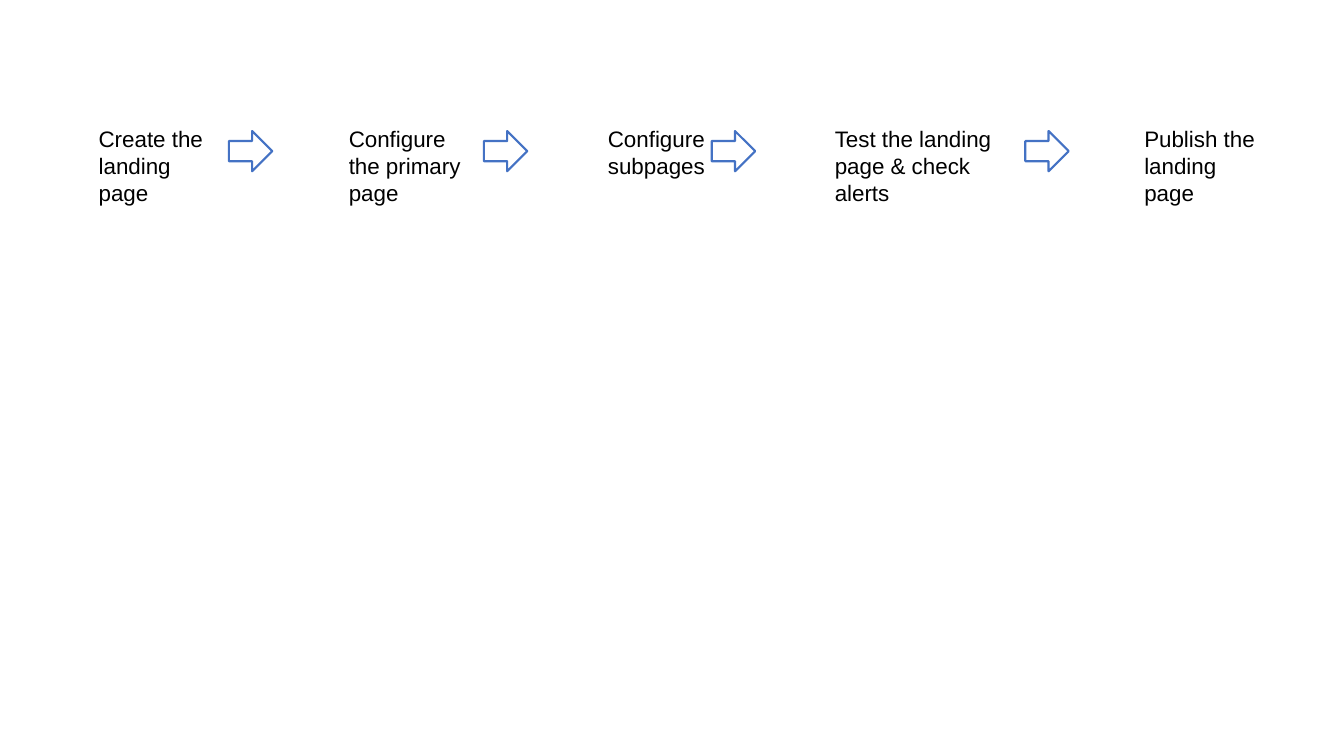
"""Build a slide that shows the steps for publishing a landing page."""
from dataclasses import dataclass
from typing import Optional

from pptx import Presentation
from pptx.dml.color import RGBColor
from pptx.enum.shapes import MSO_SHAPE
from pptx.enum.text import MSO_ANCHOR, MSO_AUTO_SIZE, PP_ALIGN
from pptx.slide import Slide
from pptx.util import Inches, Pt

RIGHT_ARROW = MSO_SHAPE.RIGHT_ARROW
TOP = MSO_ANCHOR.TOP
GROW = MSO_AUTO_SIZE.SHAPE_TO_FIT_TEXT
LEFT = PP_ALIGN.LEFT

BLACK = RGBColor(0x00, 0x00, 0x00)
BLUE = RGBColor(0x44, 0x72, 0xC4)

SLIDE_WIDTH = Inches(13.33)
SLIDE_HEIGHT = Inches(7.5)
BLANK_LAYOUT = 6

STEP_TOP, STEP_HEIGHT = 15.87, 8.53
ARROW_TOP, ARROW_WIDTH, ARROW_HEIGHT = 17.33, 3.23, 5.33


@dataclass(frozen=True)
class Step:
    """One step and the arrow after it, in percent of the slide width."""
    text: str
    left: float
    width: float
    arrow_left: Optional[float] = None


STEPS = (
    Step("Create the landing page", 6.6, 10.43, 17.03),
    Step("Configure the primary page", 25.21, 10.95, 36.01),
    Step("Configure subpages", 44.49, 9.68, 52.96),
    Step("Test the landing page & check alerts", 61.37, 15.38, 76.29),
    Step("Publish the landing page", 84.4, 10.43),
)


def across(percent: float) -> int:
    """Return a share of the slide width."""
    return round(SLIDE_WIDTH * percent / 100)


def down(percent: float) -> int:
    """Return a share of the slide height."""
    return round(SLIDE_HEIGHT * percent / 100)


def add_text(page: Slide, text: str, *, left: float, top: float,
             width: float, height: float, size: float = 16,
             font: str = "Arial", color: RGBColor = BLACK) -> None:
    """Add a wrapped text box that grows with its text."""
    box = page.shapes.add_textbox(
        across(left), down(top), across(width), down(height))
    frame = box.text_frame
    frame.word_wrap = True
    frame.auto_size = GROW
    frame.vertical_anchor = TOP
    para = frame.paragraphs[0]
    para.alignment = LEFT
    span = para.add_run()
    span.text = text
    span.font.size = Pt(size)
    span.font.name = font
    span.font.color.rgb = color


def add_arrow(page: Slide, left: float) -> None:
    """Add an outlined arrow that points to the next step."""
    arrow = page.shapes.add_shape(
        RIGHT_ARROW, across(left), down(ARROW_TOP),
        across(ARROW_WIDTH), down(ARROW_HEIGHT))
    arrow.shadow.inherit = False
    arrow.fill.background()
    arrow.line.color.rgb = BLUE
    arrow.line.width = Pt(1.5)


def main() -> None:
    """Draw every step and save the deck."""
    deck = Presentation()
    deck.slide_width = SLIDE_WIDTH
    deck.slide_height = SLIDE_HEIGHT
    page = deck.slides.add_slide(deck.slide_layouts[BLANK_LAYOUT])
    for step in STEPS:
        add_text(page, step.text, left=step.left, top=STEP_TOP,
                 width=step.width, height=STEP_HEIGHT)
        if step.arrow_left is not None:
            add_arrow(page, step.arrow_left)
    deck.save("out.pptx")


if __name__ == "__main__":
    main()
